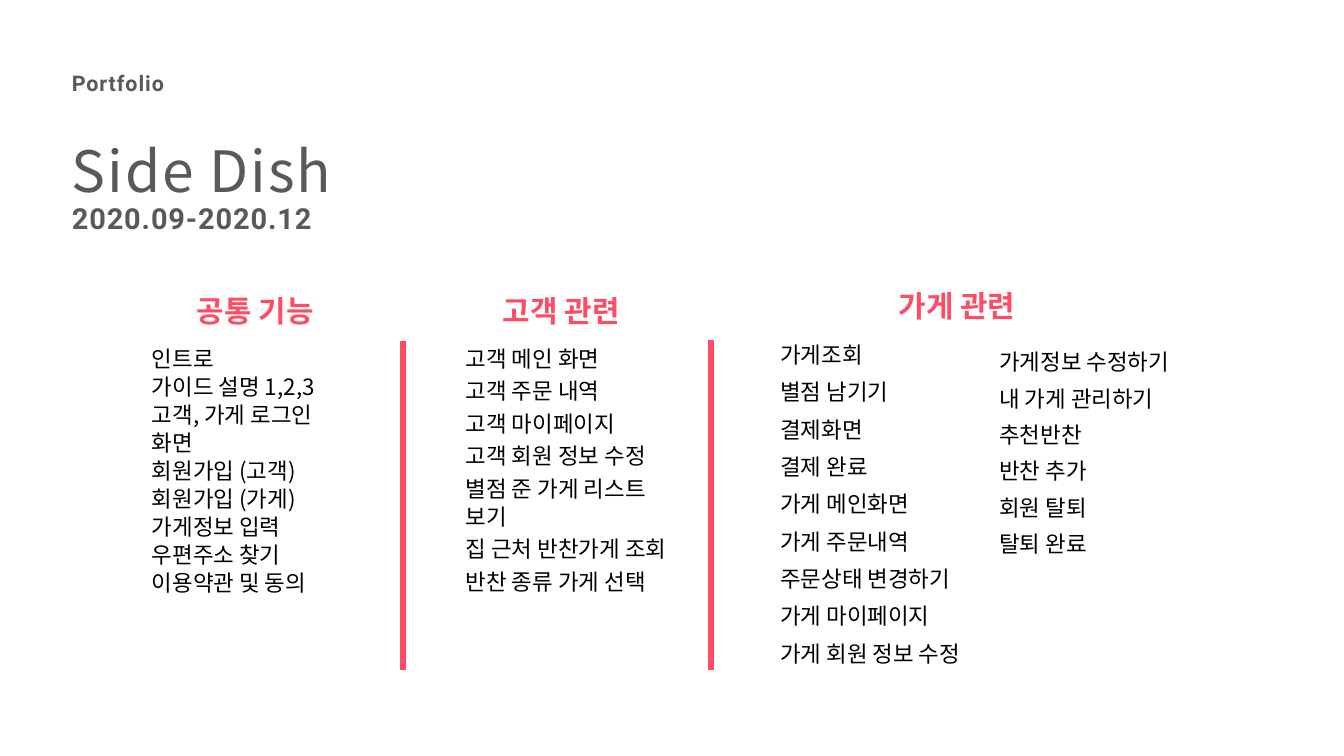
from pptx import Presentation
from pptx.dml.color import RGBColor
from pptx.enum.shapes import MSO_CONNECTOR
from pptx.enum.text import MSO_ANCHOR, MSO_AUTO_SIZE, PP_ALIGN
from pptx.oxml.ns import qn
from pptx.util import Pt

LEFT, CENTER, RIGHT, JUSTIFY = PP_ALIGN.LEFT, PP_ALIGN.CENTER, PP_ALIGN.RIGHT, PP_ALIGN.JUSTIFY
TOP, NO_FIT, STRAIGHT = MSO_ANCHOR.TOP, MSO_AUTO_SIZE.NONE, MSO_CONNECTOR.STRAIGHT
COMPARISON_LAYOUT = 4

KOREAN, LATIN = "Noto Sans CJK KR", "Roboto"
GREY, ACCENT, BLACK = (RGBColor.from_string(c) for c in ("595959", "FF4B64", "000000"))
THEME = {
    "label": {"font": LATIN, "size": 23, "bold": True, "color": GREY, "spacing": 1},
    "title": {"font": KOREAN, "size": 61, "bold": False, "color": GREY, "spacing": 2},
    "period": {"font": LATIN, "size": 31, "bold": True, "color": GREY, "spacing": 1},
    "heading": {"font": KOREAN, "size": 32, "bold": True, "color": ACCENT, "spacing": 0},
    "item": {"font": KOREAN, "size": 24, "bold": False, "color": BLACK, "spacing": 0},
}

LABEL = ("Portfolio", (69.8, 72, 157.7, 35.3), JUSTIFY)
TITLE_LINES = [("Side Dish", "title"), ("2020.09-2020.12", "period")]
TITLE_BOX = (69.8, 149.8, 548.6, 160.6)
HEADINGS = [
    ("공통 기능", (203.8, 309.6, 365, 78.5), LEFT),
    ("고객 관련", (419, 309.6, 365, 78.5), CENTER),
    ("가게 관련", (689.8, 304.6, 405.4, 78.5), RIGHT),
]
FEATURE_LISTS = [
    {
        "box": (155.5, 365, 235.4, 248.4), "inset": (7.2, 3.6), "leading": 30, "before": 0,
        "items": ["인트로", "가이드 설명 1,2,3", "고객, 가게 로그인 화면", "회원가입 (고객)",
                  "회원가입 (가게)", "가게정보 입력", "우편주소 찾기", "이용약관 및 동의"],
    },
    {
        "box": (491.8, 365, 255.6, 268.6), "inset": (7.2, 3.6), "leading": 30, "before": 4.8,
        "items": ["고객 메인 화면", "고객 주문 내역", "고객 마이페이지", "고객 회원 정보 수정",
                  "별점 준 가게 리스트 보기", "집 근처 반찬가게 조회", "반찬 종류 가게 선택"],
    },
    {
        "box": (825.1, 359.3, 614.9, 359.3), "inset": (10.8, 5.04), "leading": 30, "before": 10,
        "items": ["가게조회", "별점 남기기", "결제화면", "결제 완료", "가게 메인화면",
                  "가게 주문내역", "주문상태 변경하기", "가게 마이페이지", "가게 회원 정보 수정"],
    },
    {
        "box": (1063.4, 359.3, 376.6, 240.5), "inset": (7.2, 3.6), "leading": 39, "before": 0,
        "items": ["가게정보 수정하기", "내 가게 관리하기", "추천반찬", "반찬 추가", "회원 탈퇴", "탈퇴 완료"],
    },
]
DIVIDERS = [(432, 365), (761.8, 364.3)]
DIVIDER_HEIGHT, DIVIDER_WEIGHT = 353.2, 6


def set_all(target, values):
    for name, value in values.items():
        setattr(target, name, value)


def place(shape, box):
    set_all(shape, dict(zip(("left", "top", "width", "height"), map(Pt, box))))


def write(shape, lines, paragraph_format, inset=(7.2, 3.6)):
    frame = shape.text_frame
    side, edge = map(Pt, inset)
    set_all(frame, {
        "word_wrap": True, "auto_size": NO_FIT, "vertical_anchor": TOP,
        "margin_left": side, "margin_right": side, "margin_top": edge, "margin_bottom": edge,
    })
    for index, (text, role) in enumerate(lines):
        paragraph = frame.add_paragraph() if index else frame.paragraphs[0]
        set_all(paragraph, paragraph_format)
        run = paragraph.add_run()
        run.text = text
        style = THEME[role]
        set_all(run.font, {"name": style["font"], "size": Pt(style["size"]), "bold": style["bold"]})
        run.font.color.rgb = style["color"]
        properties = run.font._element
        properties.set("spc", str(style["spacing"] * 100))
        east_asian = properties.makeelement(qn("a:ea"), {"typeface": style["font"]})
        properties.find(qn("a:latin")).addnext(east_asian)


def remove_bullets(shape):
    for paragraph in shape.text_frame.paragraphs:
        properties = paragraph._p.get_or_add_pPr()
        set_to_zero = ("marL", "indent")
        for name in set_to_zero:
            properties.set(name, "0")
        properties.append(properties.makeelement(qn("a:buNone"), {}))


def add_divider(slide, x, y):
    divider = slide.shapes.add_connector(STRAIGHT, Pt(x), Pt(y), Pt(x), Pt(y + DIVIDER_HEIGHT))
    divider.line.color.rgb = ACCENT
    divider.line.width = Pt(DIVIDER_WEIGHT)
    properties = divider._element.spPr
    properties.append(properties.makeelement(qn("a:effectLst"), {}))


def main():
    deck = Presentation()
    set_all(deck, {"slide_width": Pt(1440), "slide_height": Pt(810)})
    slide = deck.slides.add_slide(deck.slide_layouts[COMPARISON_LAYOUT])
    title, *bodies = slide.placeholders

    place(title, TITLE_BOX)
    write(title, TITLE_LINES, {"alignment": JUSTIFY, "line_spacing": 0.9})

    for body, column in zip(bodies, FEATURE_LISTS):
        place(body, column["box"])
        write(body, [(item, "item") for item in column["items"]], {
            "alignment": LEFT,
            "line_spacing": Pt(column["leading"]),
            "space_before": Pt(column["before"]),
        }, column["inset"])
        remove_bullets(body)

    captions = [(LABEL, "label")] + [(heading, "heading") for heading in HEADINGS]
    for (text, box, alignment), role in captions:
        caption = slide.shapes.add_textbox(*map(Pt, box))
        write(caption, [(text, role)], {"alignment": alignment})

    for x, y in DIVIDERS:
        add_divider(slide, x, y)

    deck.save("out.pptx")


if __name__ == "__main__":
    main()
